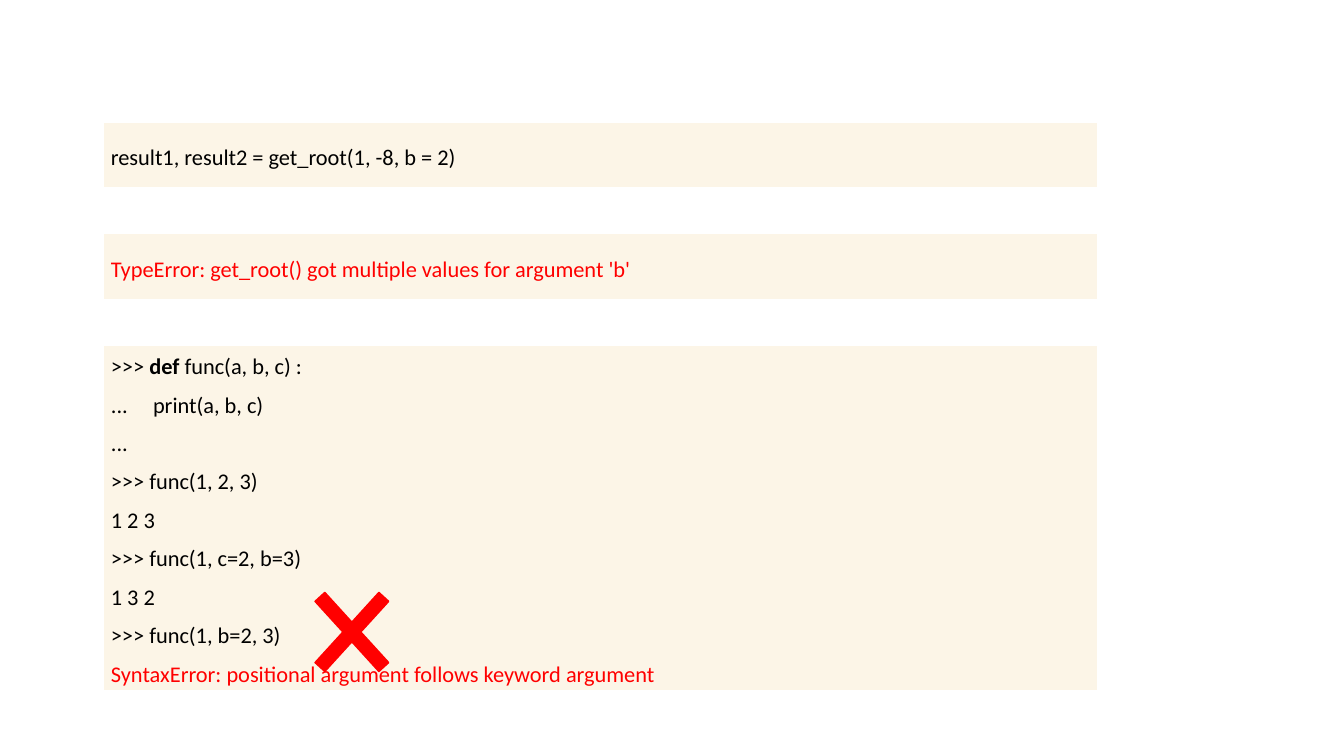
from pptx import Presentation
from pptx.dml.color import RGBColor
from pptx.enum.shapes import MSO_SHAPE
from pptx.enum.text import MSO_ANCHOR, PP_ALIGN
from pptx.util import Inches, Pt

CROSS = MSO_SHAPE.MATH_MULTIPLY
MIDDLE = MSO_ANCHOR.MIDDLE
JUSTIFY = PP_ALIGN.JUSTIFY

COLORS = {"panel": "FCF5E7", "code": "000000", "error": "FF0000"}
FONT = {"name": "Calibri", "size": Pt(16)}
PARAGRAPH = {"alignment": JUSTIFY, "line_spacing": 1.2, "space_after": Pt(4)}
CELL = {
    "vertical_anchor": MIDDLE,
    "margin_left": Inches(0.07),
    "margin_right": Inches(0.07),
    "margin_top": Inches(0.02),
    "margin_bottom": Inches(0.02),
}

PANEL_LEFT, PANEL_WIDTH = 1.03, 9.86
FIRST_TOP, PANEL_STEP = 1.21, 1.11

CALL = [[("result1, result2 = get_root(1, -8, b = 2)", "code", False)]]
TYPE_ERROR = [[("TypeError: get_root() got multiple values for argument 'b'", "error", False)]]
SESSION = [
    [(">>> ", "code", False), ("def ", "code", True), ("func(a, b, c) : ", "code", False)],
    [("...     print(a, b, c) ", "code", False)],
    [("...", "code", False)],
    [(">>> func(1, 2, 3) ", "code", False)],
    [("1 2 3 ", "code", False)],
    [(">>> func(1, c=2, b=3) ", "code", False)],
    [("1 3 2 ", "code", False)],
    [(">>> func(1, b=2, 3) ", "code", False)],
    [("SyntaxError: positional argument follows keyword argument", "error", False)],
]
PANELS = [(CALL, 0.65), (TYPE_ERROR, 0.65), (SESSION, 3.34)]


def color(name):
    return RGBColor.from_string(COLORS[name])


def apply(target, values):
    for name, value in values.items():
        setattr(target, name, value)


def fill(target, name):
    target.fill.solid()
    target.fill.fore_color.rgb = color(name)


def add_line(p, runs):
    apply(p, PARAGRAPH)
    for text, ink, bold in runs:
        r = p.add_run()
        r.text = text
        apply(r.font, FONT)
        r.font.bold = bold
        r.font.color.rgb = color(ink)


def add_panel(s, top, height, lines):
    frame = s.shapes.add_table(1, 1, Inches(PANEL_LEFT), Inches(top),
                               Inches(PANEL_WIDTH), Inches(height))
    apply(frame.table, {"first_row": False, "horz_banding": False})
    cell = frame.table.cell(0, 0)
    apply(cell, CELL)
    fill(cell, "panel")
    tf = cell.text_frame
    for i, runs in enumerate(lines):
        add_line(tf.add_paragraph() if i else tf.paragraphs[0], runs)


def add_cross(s, left, top, width, height):
    sp = s.shapes.add_shape(CROSS, Inches(left), Inches(top), Inches(width), Inches(height))
    sp.shadow.inherit = False
    sp.adjustments[0] = 0.108
    fill(sp, "error")
    sp.line.color.rgb = color("error")
    sp.line.width = Pt(1)


def main():
    prs = Presentation()
    prs.slide_width, prs.slide_height = Inches(13.33), Inches(7.5)
    s = prs.slides.add_slide(prs.slide_layouts[6])
    for i, (lines, height) in enumerate(PANELS):
        add_panel(s, FIRST_TOP + i * PANEL_STEP, height, lines)
    add_cross(s, 2.88, 5.6, 1.22, 1.34)
    prs.save("out.pptx")


if __name__ == "__main__":
    main()
